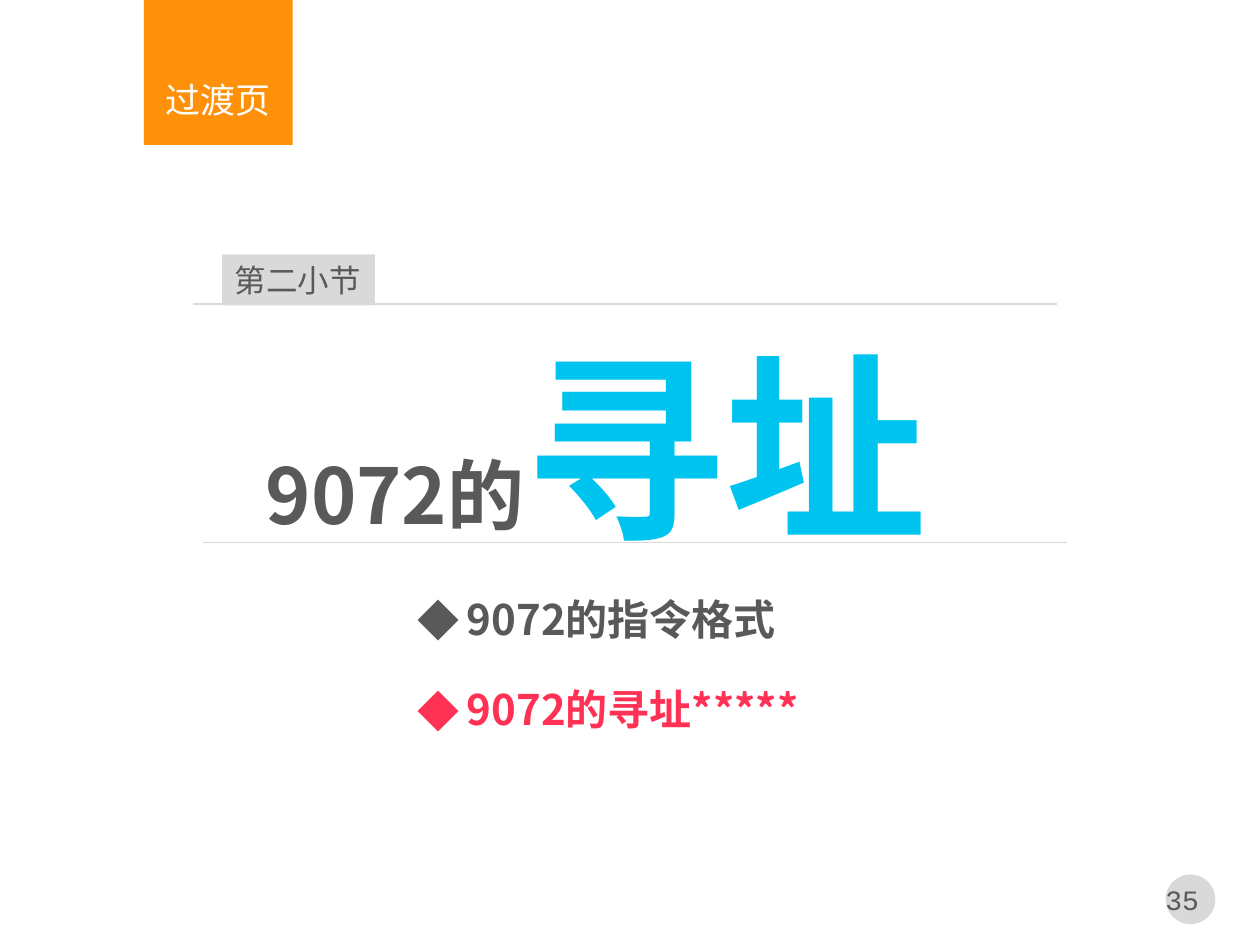
from lxml import etree
from pptx import Presentation
from pptx import util as u
from pptx.dml.color import RGBColor
from pptx.enum import shapes, text
from pptx.oxml.ns import qn

SANS, MONO = "Noto Sans CJK SC", "Courier New"
GREY, PALE, ORANGE = "595959", "D9D9D9", "FF910A"
CYAN, RED, WHITE = "00C4F0", "FF3255", "FFFFFF"


def colour(hex_string):
    return RGBColor.from_string(hex_string)


def place(shape, left, top, width, height):
    shape.left, shape.top = u.Cm(left), u.Cm(top)
    shape.width, shape.height = u.Cm(width), u.Cm(height)


def style(paragraph, size, hex_string, name=SANS, bold=False):
    font = paragraph.font
    font.size, font.bold, font.name = u.Pt(size), bold, name
    font.color.rgb = colour(hex_string)
    properties = paragraph._p.get_or_add_pPr().find(qn("a:defRPr"))
    etree.SubElement(properties, qn("a:ea"), typeface=name)


def add_block(slide, kind, hex_string, left, top, width, height):
    block = slide.shapes.add_shape(
        kind, u.Cm(left), u.Cm(top), u.Cm(width), u.Cm(height))
    block.shadow.inherit = False
    block.fill.solid()
    block.fill.fore_color.rgb = colour(hex_string)
    block.line.fill.background()
    return block


def add_label(slide, words, left, top, width, height, size, hex_string, name=SANS):
    label = slide.shapes.add_textbox(
        u.Cm(left), u.Cm(top), u.Cm(width), u.Cm(height))
    label.text_frame.word_wrap = True
    paragraph = label.text_frame.paragraphs[0]
    paragraph.text = words
    paragraph.alignment = text.PP_ALIGN.CENTER
    style(paragraph, size, hex_string, name)
    return label


def add_rule(slide, left, top, width):
    rule = slide.shapes.add_connector(
        shapes.MSO_CONNECTOR.STRAIGHT,
        u.Cm(left), u.Cm(top), u.Cm(left + width), u.Cm(top))
    rule.line.color.rgb = colour(PALE)
    rule.line.width = u.Pt(0.75)
    etree.SubElement(rule._element.spPr, qn("a:effectLst"))


def add_page_tab(slide, left, top, width, height):
    add_block(slide, shapes.MSO_SHAPE.RECTANGLE, ORANGE, left, top, width, height)
    add_label(slide, "过渡页", left, top + height / 2, width, 1.12, 20, WHITE)


def add_page_number(slide, left, top, size):
    add_block(slide, shapes.MSO_SHAPE.OVAL, PALE, left, top, size, size)
    number = add_label(slide, "35", left - 0.4, top + 0.03, 1.8, 0.94, 16, GREY, MONO)
    number.text_frame.margin_right = u.Cm(0.59)


def add_heading(slide, left, top, width):
    # Section tag standing on the upper rule
    tag = add_block(slide, shapes.MSO_SHAPE.RECTANGLE, PALE,
                    left + 0.58, top - 1, 3.08, 1.03)
    tag.text_frame.word_wrap = False
    paragraph = tag.text_frame.paragraphs[0]
    paragraph.text = "第二小节"
    paragraph.alignment = text.PP_ALIGN.LEFT
    style(paragraph, 18, GREY)

    # Rules above and below the title
    add_rule(slide, left, top, width)
    add_rule(slide, left + 0.2, top + 4.8, width)

    # Title with its key word enlarged
    title = slide.shapes.title
    place(title, left + 1.2, top - 0.24, 19.4, 5.44)
    frame = title.text_frame
    frame.word_wrap, frame.auto_size = True, text.MSO_AUTO_SIZE.NONE
    frame.vertical_anchor = text.MSO_ANCHOR.MIDDLE
    paragraph = frame.paragraphs[0]
    paragraph.alignment = text.PP_ALIGN.LEFT
    paragraph.line_spacing = 1.14
    style(paragraph, 44, GREY, bold=True)
    paragraph.add_run().text = "9072的"
    key_word = paragraph.add_run()
    key_word.text = "寻址"
    key_word.font.size = u.Pt(115)
    key_word.font.color.rgb = colour(CYAN)


def add_topics(slide, left, top, width, height):
    body = slide.placeholders[1]
    place(body, left, top, width, height)
    frame = body.text_frame
    frame.word_wrap, frame.auto_size = True, text.MSO_AUTO_SIZE.NONE
    frame.vertical_anchor = text.MSO_ANCHOR.TOP
    frame.margin_left = frame.margin_right = u.Cm(0.18)
    frame.margin_top = frame.margin_bottom = u.Cm(0.1)
    topics = [("9072的指令格式", GREY), ("9072的寻址*****", RED)]
    for index, (words, hex_string) in enumerate(topics):
        paragraph = frame.add_paragraph() if index else frame.paragraphs[0]
        paragraph.text = words
        paragraph.space_before = u.Pt(23 if index else 0)
        properties = paragraph._p.get_or_add_pPr()
        properties.set("marL", str(u.Cm(1)))
        properties.set("indent", str(-u.Cm(1)))
        etree.SubElement(properties, qn("a:buFont"), typeface=SANS)
        etree.SubElement(properties, qn("a:buChar"), char="◆")
        style(paragraph, 24, hex_string, bold=True)


def main():
    presentation = Presentation()
    presentation.slide_width, presentation.slide_height = u.Cm(25.4), u.Cm(19.05)
    slide = presentation.slides.add_slide(presentation.slide_layouts[1])
    add_page_tab(slide, 2.9, 0, 3, 2.92)
    add_page_number(slide, 23.5, 17.63, 1)
    add_heading(slide, 3.9, 6.13, 17.4)
    add_topics(slide, 8.23, 11.86, 8.81, 3.28)
    presentation.save("out.pptx")


if __name__ == "__main__":
    main()
